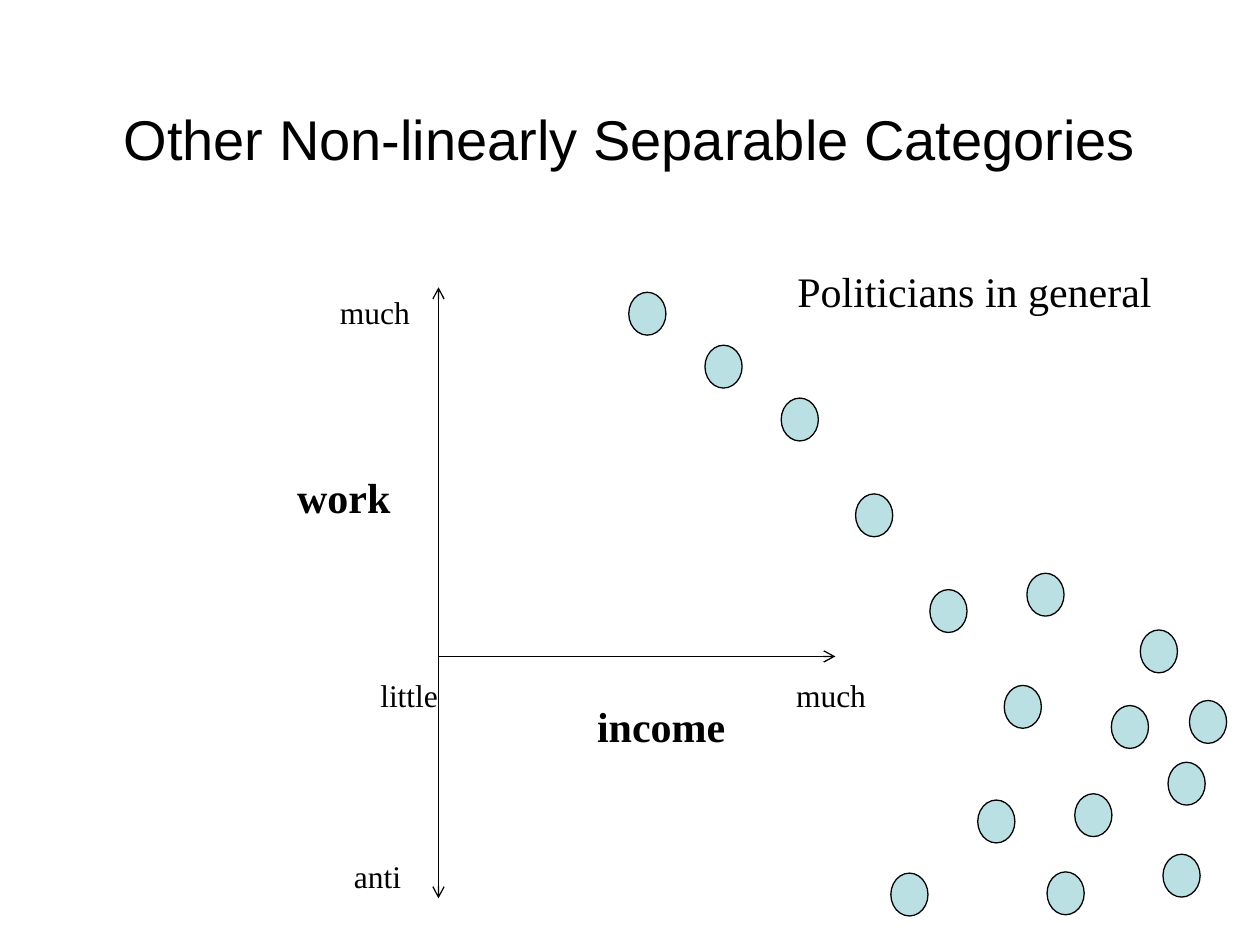
"""Build the slide on non-linearly separable categories."""
from lxml.etree import SubElement
from pptx import Presentation
from pptx.dml.color import RGBColor
from pptx.enum.shapes import MSO_CONNECTOR, MSO_SHAPE
from pptx.enum.text import MSO_ANCHOR, PP_ALIGN
from pptx.oxml.ns import qn
from pptx.util import Inches, Pt

prs = Presentation()
prs.slide_width, prs.slide_height = Inches(10), Inches(7.5)
COL, ROW = prs.slide_width / 100, prs.slide_height / 75
s = prs.slides.add_slide(prs.slide_layouts[6])


def paint(fmt, color):
    fmt.solid()
    fmt.fore_color.rgb = RGBColor.from_string(color)


def add_text(text, x, y, w, h, size=18, font="Times New Roman", bold=False,
             align=PP_ALIGN.LEFT, anchor=MSO_ANCHOR.TOP):
    box = s.shapes.add_textbox(int(x * COL), int(y * ROW), int(w * COL), int(h * ROW))
    tf = box.text_frame
    tf.word_wrap, tf.vertical_anchor = True, anchor
    p = tf.paragraphs[0]
    p.alignment = align
    r = p.add_run()
    r.text = text
    r.font.name, r.font.size, r.font.bold = font, Pt(size), bold
    paint(r.font.fill, "000000")


add_text("Other Non-linearly Separable Categories", 7.5, 6.7, 85, 8.6, size=32,
         font="Arial", align=PP_ALIGN.CENTER, anchor=MSO_ANCHOR.MIDDLE)

origin = (34.8, 52.1)
for tip in [(34.8, 22.8), (66.3, 52.1), (34.8, 71.3)]:
    ends = [int(v * u) for pt in (origin, tip) for v, u in zip(pt, (COL, ROW))]
    axis = s.shapes.add_connector(MSO_CONNECTOR.STRAIGHT, *ends)
    axis.line.width = Pt(0.75)
    paint(axis.line.fill, "000000")
    sp_pr = axis._element.spPr
    SubElement(sp_pr.find(qn("a:ln")), qn("a:tailEnd"), type="arrow")
    SubElement(sp_pr, qn("a:effectLst"))

add_text("work", 22.6, 36.9, 9.8, 5, size=24, bold=True)
add_text("income", 46.4, 55.1, 12.3, 5, size=24, bold=True)
add_text("Politicians in general", 62.3, 20.6, 30.6, 5, size=24)
add_text("anti", 27.1, 67.5, 6.2, 4)
for text, x, y in [("little", 29.2, 53.2), ("much", 62.2, 53.2), ("much", 26, 22.8)]:
    add_text(text, x, y, 8, 4)

upper = [(49.9 + 6.05 * i, 23.2 + 4.2 * i) for i in range(3)]
lower = [(67.9 + 5.9 * i, 39.2 + 7.6 * i) for i in range(3)]
cluster = [(77.6, 63.5), (70.7, 69.3), (83.1, 69.2), (85.3, 63), (88.2, 56),
           (92.7, 60.5), (92.3, 67.8), (81.5, 45.5), (90.5, 50), (94.4, 55.6)]
for x, y in upper + lower + cluster:
    sp = s.shapes.add_shape(MSO_SHAPE.OVAL, int(x * COL), int(y * ROW),
                            int(2.95 * COL), int(3.4 * ROW))
    sp.shadow.inherit = False
    paint(sp.fill, "BBE0E3")
    paint(sp.line.fill, "000000")
    sp.line.width = Pt(0.75)

prs.save("out.pptx")
